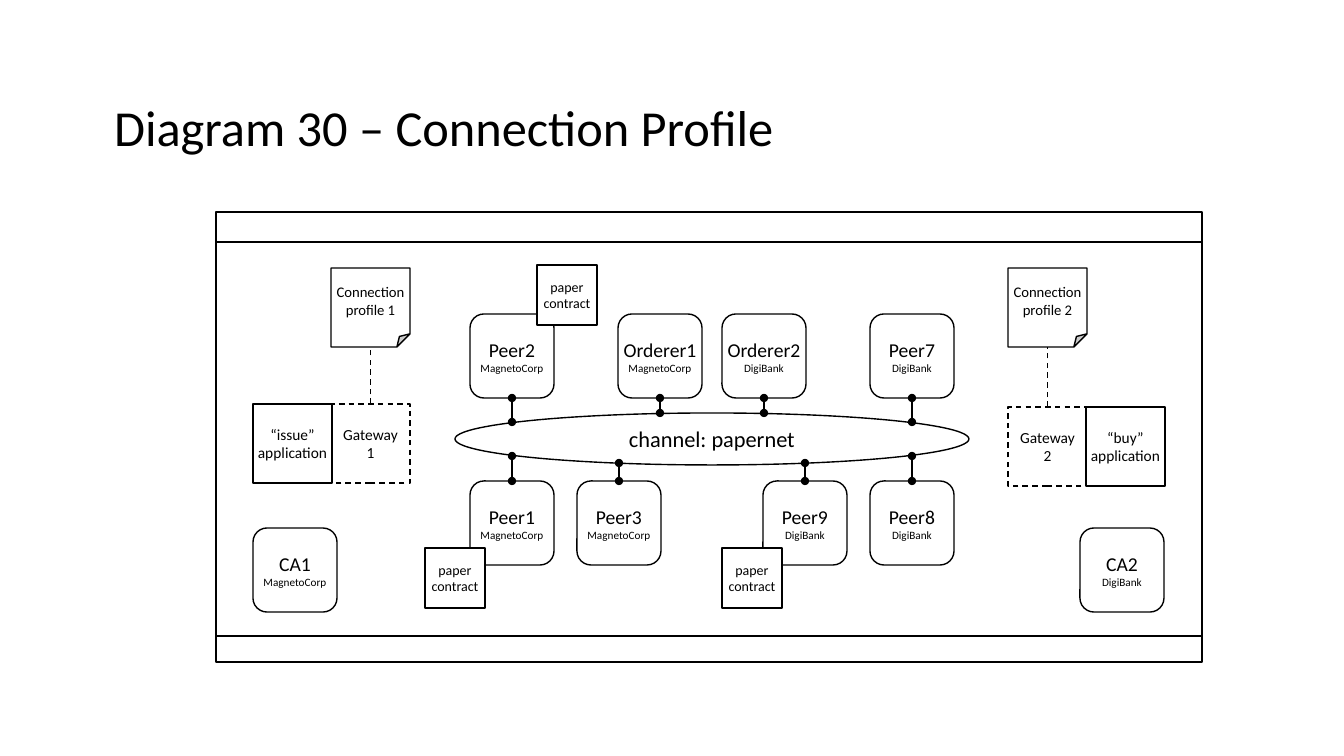
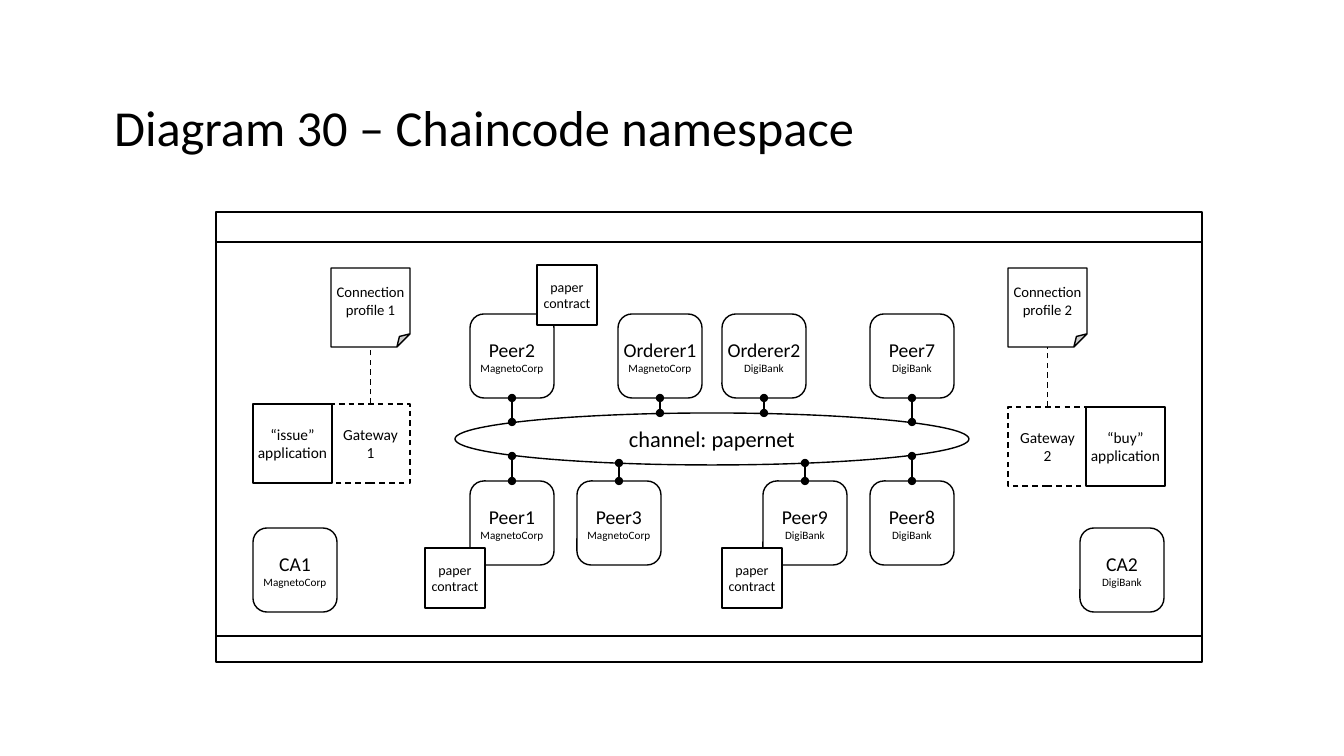
"""Build two slides that show a business network and its channel."""
import dataclasses

import pptx
import pptx.dml.color
import pptx.enum.dml
import pptx.enum.shapes
import pptx.enum.text
import pptx.oxml.ns
import pptx.util
from lxml import etree


@dataclasses.dataclass(frozen=True)
class Theme:
    font: str = "Calibri"
    ink: pptx.dml.color.RGBColor = pptx.dml.color.RGBColor(0, 0, 0)
    paper: pptx.dml.color.RGBColor = pptx.dml.color.RGBColor(255, 255, 255)
    rule: float = 1
    title: float = 36
    hub: float = 16
    node: float = 14
    org: float = 8
    app: float = 11
    card: float = 10.5
    deal: float = 10


theme = Theme()
form = pptx.enum.shapes.MSO_SHAPE
align = pptx.enum.text.PP_ALIGN
dashed = pptx.enum.dml.MSO_LINE.DASH
scale = 914400 / 100.8


def box(slide, kind, rect, text="", sizes=(), dash=None, fill=True, inset=0,
        side=align.CENTER, space=None):
    """Add a shape, or a text box when kind is None; each line is a paragraph."""
    place = [round(n * scale) for n in rect]
    if kind is None:
        shape = slide.shapes.add_textbox(*place)
    else:
        shape = slide.shapes.add_shape(kind, *place)
        shape.shadow.inherit = False
        shape.line.color.rgb = theme.ink
        shape.line.width = pptx.util.Pt(theme.rule)
        if dash:
            shape.line.dash_style = dash
        if fill:
            shape.fill.solid()
            shape.fill.fore_color.rgb = theme.paper
        else:
            shape.fill.background()
    if not text:
        return
    frame = shape.text_frame
    frame.word_wrap = True
    frame.vertical_anchor = pptx.enum.text.MSO_ANCHOR.MIDDLE
    frame.margin_left = frame.margin_right = round(inset * scale)
    frame.margin_top = frame.margin_bottom = round(5 * scale)
    frame.text = text
    for i, para in enumerate(frame.paragraphs):
        para.alignment = side
        para.line_spacing = space
        font = para.runs[0].font
        font.name = theme.font
        font.size = pptx.util.Pt(sizes[min(i, len(sizes) - 1)])
        font.color.rgb = theme.ink


def link(slide, x, top, end, dash=None, dots=False):
    """Add an upright line, dashed or with a dot at each end."""
    wire = slide.shapes.add_connector(
        pptx.enum.shapes.MSO_CONNECTOR.STRAIGHT,
        *[round(n * scale) for n in (x, top, x, end)])
    wire.line.color.rgb = theme.ink
    wire.line.width = pptx.util.Pt(theme.rule)
    if dash:
        wire.line.dash_style = dash
    if dots:
        for tag in ("a:headEnd", "a:tailEnd"):
            etree.SubElement(wire.line._get_or_add_ln(),
                             pptx.oxml.ns.qn(tag), type="oval")
    etree.SubElement(wire._element.spPr, pptx.oxml.ns.qn("a:effectLst"))


titles = ["Diagram 30 – Connection Profile", "Diagram 30 – Chaincode namespace"]
frames = [(216, 212, 986, 450), (216, 242, 986, 394)]
node, card, deal = 84, 79, 60
high, low, base = 314, 481, 528
magneto, digi = "MagnetoCorp", "DigiBank"
nodes = [
    (470, high, "Peer2", magneto, 422),
    (618, high, "Orderer1", magneto, 413),
    (722, high, "Orderer2", digi, 413),
    (870, high, "Peer7", digi, 422),
    (470, low, "Peer1", magneto, 456),
    (577, low, "Peer3", magneto, 463),
    (763, low, "Peer9", digi, 463),
    (870, low, "Peer8", digi, 456),
    (253, base, "CA1", magneto, None),
    (1080, base, "CA2", digi, None),
]
deals = [(537, 265), (425, 548), (722, 548)]
clients = [
    (1, 331, 253, 404, "“issue”"),
    (2, 1008, 1086, 407, "“buy”"),
]
crest = 268

deck = pptx.Presentation()
deck.slide_width = round(1344 * scale)
deck.slide_height = round(756 * scale)

for title in titles:
    slide = deck.slides.add_slide(deck.slide_layouts[6])
    box(slide, None, (109, 57, 1159, 146), title, [theme.title], inset=5,
        side=align.LEFT, space=0.9)
    for rect in frames:
        box(slide, form.RECTANGLE, rect, fill=False)

    box(slide, form.OVAL, (455, 413, 514, 52), "channel: papernet",
        [theme.hub], inset=5)
    for x, y, name, org, end in nodes:
        box(slide, form.ROUNDED_RECTANGLE, (x, y, node, node),
            f"{name}\n{org}", [theme.node, theme.org])
        if end:
            edge = y + node if y == high else y
            link(slide, x + node / 2, edge, end, dots=True)
    for x, y in deals:
        box(slide, form.RECTANGLE, (x, y, deal, deal), "paper contract",
            [theme.deal])

    for num, gate, app, y, verb in clients:
        box(slide, form.RECTANGLE, (gate, y, card, card), f"Gateway\n{num}",
            [theme.app], dash=dashed)
        box(slide, form.RECTANGLE, (app, y, card, card),
            f"{verb}\napplication", [theme.app])
        box(slide, form.FOLDED_CORNER, (gate, crest, card, card),
            f"Connection profile {num}", [theme.card])
        link(slide, gate + card / 2, y, crest + card, dash=dashed)

deck.save("out.pptx")
